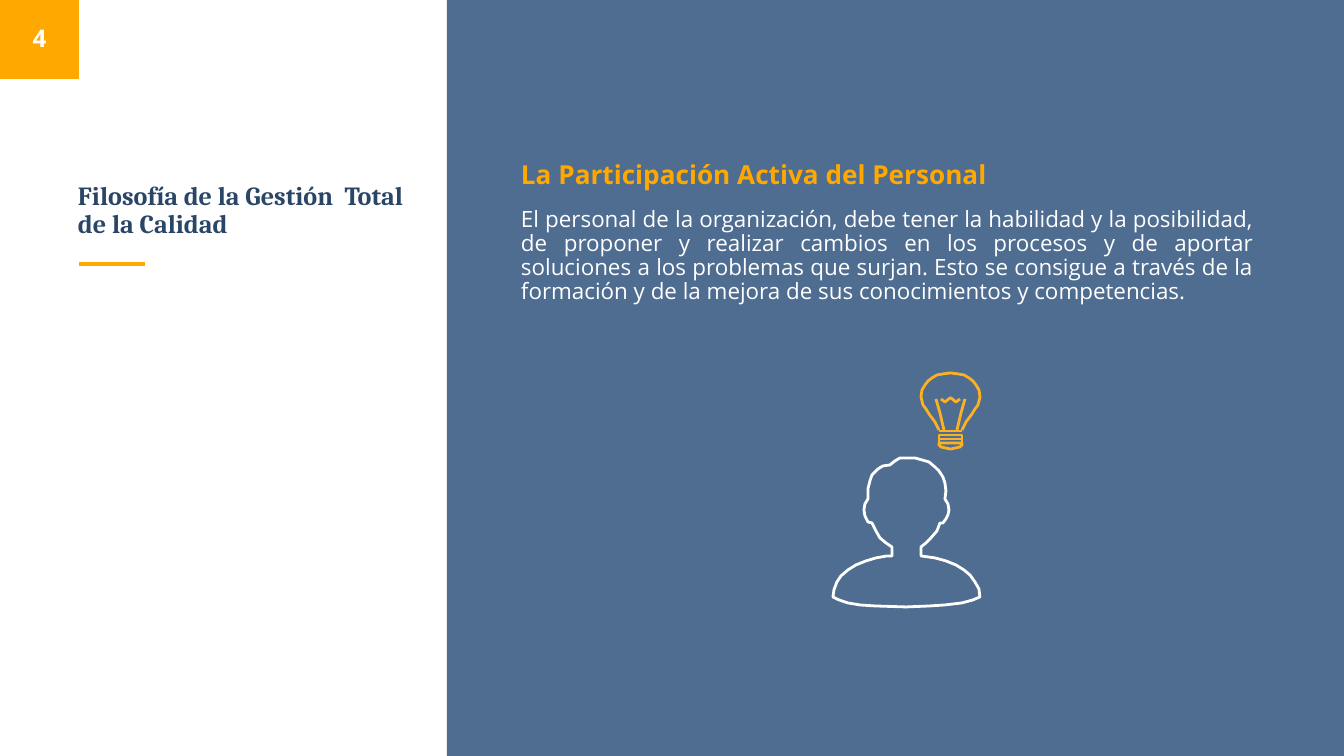
from dataclasses import dataclass

from lxml import etree
from pptx import Presentation
from pptx.dml.color import RGBColor
from pptx.enum.shapes import MSO_CONNECTOR, MSO_SHAPE
from pptx.enum.text import MSO_ANCHOR, PP_ALIGN
from pptx.oxml.ns import qn
from pptx.util import Emu, Pt

SCALE = 914400 / 134.4  # EMU in one px
WIDTH, HEIGHT = 1344, 756
INSET = 13
RECTANGLE = MSO_SHAPE.RECTANGLE
STRAIGHT = MSO_CONNECTOR.STRAIGHT
TOP, MIDDLE, BOTTOM = MSO_ANCHOR.TOP, MSO_ANCHOR.MIDDLE, MSO_ANCHOR.BOTTOM
LEFT, CENTER, JUSTIFY = PP_ALIGN.LEFT, PP_ALIGN.CENTER, PP_ALIGN.JUSTIFY

COLORS = {
    "panel": "325680",
    "accent": "FFA800",
    "title": "294667",
    "white": "FFFFFF",
    "bulb": "FDB021",
}

Point = tuple[int, int]


@dataclass(frozen=True)
class Box:
    left: int
    top: int
    width: int
    height: int

    def emu(self) -> list[Emu]:
        return [px(n) for n in (self.left, self.top, self.width, self.height)]


@dataclass(frozen=True)
class Outline:
    points: list[Point]
    closed: bool = False


def px(length: int) -> Emu:
    return Emu(round(length * SCALE))


def color(name: str) -> RGBColor:
    return RGBColor.from_string(COLORS[name])


def mirror(points: list[Point]) -> list[Point]:
    """Reflect points in the bulb's vertical axis, in reverse order."""
    return [(BULB_LEFT + BULB_RIGHT - x, y) for x, y in reversed(points)]


def add_rectangle(shapes, box: Box, fill: str, opacity: int = 100) -> None:
    shape = shapes.add_shape(RECTANGLE, *box.emu())
    shape.shadow.inherit = False
    shape.fill.solid()
    shape.fill.fore_color.rgb = color(fill)
    shape.line.fill.background()
    if opacity < 100:
        tint = shape.fill._xPr.find(".//" + qn("a:srgbClr"))
        etree.SubElement(tint, qn("a:alpha"), val=str(opacity * 1000))


def add_line(shapes, start: Point, end: Point, stroke: str, width: float) -> None:
    line = shapes.add_connector(STRAIGHT, *[px(n) for n in start + end])
    line.line.color.rgb = color(stroke)
    line.line.width = Pt(width)
    etree.SubElement(line._element.spPr, qn("a:effectLst"))


def add_outline(shapes, outline: Outline, stroke: str) -> None:
    first, *rest = outline.points
    builder = shapes.build_freeform(*first, scale=SCALE)
    builder.add_line_segments(rest, close=outline.closed)
    shape = builder.convert_to_shape()
    shape.shadow.inherit = False
    shape.fill.background()
    shape.line.color.rgb = color(stroke)
    shape.line.width = Pt(1.5)


def add_text(shapes, text: str, box: Box, *, size: int, fill: str,
             font: str = "Open Sans", bold: bool = True, align=LEFT,
             anchor=BOTTOM, before: int = 0) -> None:
    frame = shapes.add_textbox(*box.emu()).text_frame
    frame.word_wrap = True
    frame.vertical_anchor = anchor
    frame.margin_left = frame.margin_right = px(INSET)
    frame.margin_top = frame.margin_bottom = px(INSET)
    paragraph = frame.paragraphs[0]
    paragraph.alignment = align
    paragraph.line_spacing = 0.9
    paragraph.space_before = Pt(before)
    run = paragraph.add_run()
    run.text = text
    run.font.name = font
    run.font.size = Pt(size)
    run.font.bold = bold
    run.font.color.rgb = color(fill)


# Head and shoulders, clockwise or not as the outline runs from the right of the neck
PERSON = Outline([
    (921, 556), (921, 547), (926, 543), (931, 538), (937, 531), (940, 523),
    (943, 523), (946, 519), (948, 515), (949, 510), (948, 504), (945, 499),
    (946, 491), (945, 483), (943, 477), (939, 471), (935, 467), (929, 462),
    (922, 460), (915, 458), (906, 458), (900, 458), (895, 461), (890, 465),
    (883, 466), (878, 469), (872, 475), (870, 481), (868, 489), (868, 499),
    (865, 504), (864, 510), (865, 516), (868, 522), (872, 523), (876, 531),
    (880, 538), (886, 543), (892, 547), (892, 556), (887, 556), (876, 558),
    (866, 561), (856, 565), (848, 570), (841, 576), (837, 582), (834, 590),
    (833, 597), (839, 600), (848, 603), (860, 605), (875, 606), (906, 607),
    (930, 606), (945, 605), (962, 603), (973, 600), (980, 597), (979, 589),
    (975, 582), (970, 575), (964, 570), (956, 565), (946, 561), (935, 558),
], closed=True)

# Light bulb: halves are mirrored in its axis
BULB_LEFT, BULB_RIGHT = 939, 962
COLLAR_Y = 431
THREAD_TOP, THREAD_HEIGHT, THREAD_COUNT = 435, 4, 2
CAP_TOP = THREAD_TOP + THREAD_COUNT * THREAD_HEIGHT
GLASS = [
    (962, 430), (964, 426), (966, 422), (969, 418), (972, 414), (975, 409),
    (978, 405), (979, 401), (980, 397), (979, 390), (976, 385), (973, 381),
    (969, 378), (964, 375), (958, 374), (951, 373),
]
SUPPORT = [(965, 399), (961, 413), (957, 430)]
FILAMENT = [(941, 399), (945, 402), (950, 398)]
CAP = [(939, CAP_TOP), (939, 445), (941, 447), (950, 449)]

THREADS = [
    Outline([(BULB_LEFT, y), (BULB_RIGHT, y),
             (BULB_RIGHT, y + THREAD_HEIGHT), (BULB_LEFT, y + THREAD_HEIGHT)], True)
    for y in range(THREAD_TOP, CAP_TOP, THREAD_HEIGHT)
]
BULB = THREADS + [
    Outline(CAP + mirror(CAP), True),
    Outline(GLASS + mirror(GLASS)),
    Outline(SUPPORT),
    Outline(mirror(SUPPORT)),
    Outline(FILAMENT + mirror(FILAMENT)),
]


def main() -> None:
    presentation = Presentation()
    presentation.slide_width, presentation.slide_height = px(WIDTH), px(HEIGHT)
    shapes = presentation.slides.add_slide(presentation.slide_layouts[6]).shapes

    # Panel, title rule and page number tile
    add_rectangle(shapes, Box(447, 0, WIDTH - 447, HEIGHT), "panel", opacity=86)
    add_line(shapes, (79, 264), (145, 264), "accent", 2.25)
    add_rectangle(shapes, Box(0, 0, 79, 79), "accent")

    # Texts
    add_text(shapes, "Filosofía de la Gestión  Total de la Calidad",
             Box(65, 153, 371, 99), size=14, fill="title", font="Cambria")
    add_text(shapes,
             "El personal de la organización, debe tener la habilidad y la "
             "posibilidad, de proponer y realizar cambios en los procesos y de "
             "aportar soluciones a los problemas que surjan. Esto se consigue a "
             "través de la formación y de la mejora de sus conocimientos y "
             "competencias.",
             Box(508, 195, 759, 374), size=12, fill="white", bold=False,
             align=JUSTIFY, anchor=TOP, before=6)
    add_text(shapes, "4", Box(-1, 0, 81, 79), size=13, fill="white",
             align=CENTER, anchor=MIDDLE)
    add_text(shapes, "La Participación Activa del Personal",
             Box(508, 90, 543, 113), size=14, fill="accent")

    # Person with an idea
    add_outline(shapes, PERSON, "white")
    bulb = shapes.add_group_shape().shapes
    for outline in BULB:
        add_outline(bulb, outline, "bulb")
    add_line(bulb, (BULB_LEFT, COLLAR_Y), (BULB_RIGHT, COLLAR_Y), "bulb", 1.5)

    presentation.save("out.pptx")


if __name__ == "__main__":
    main()
